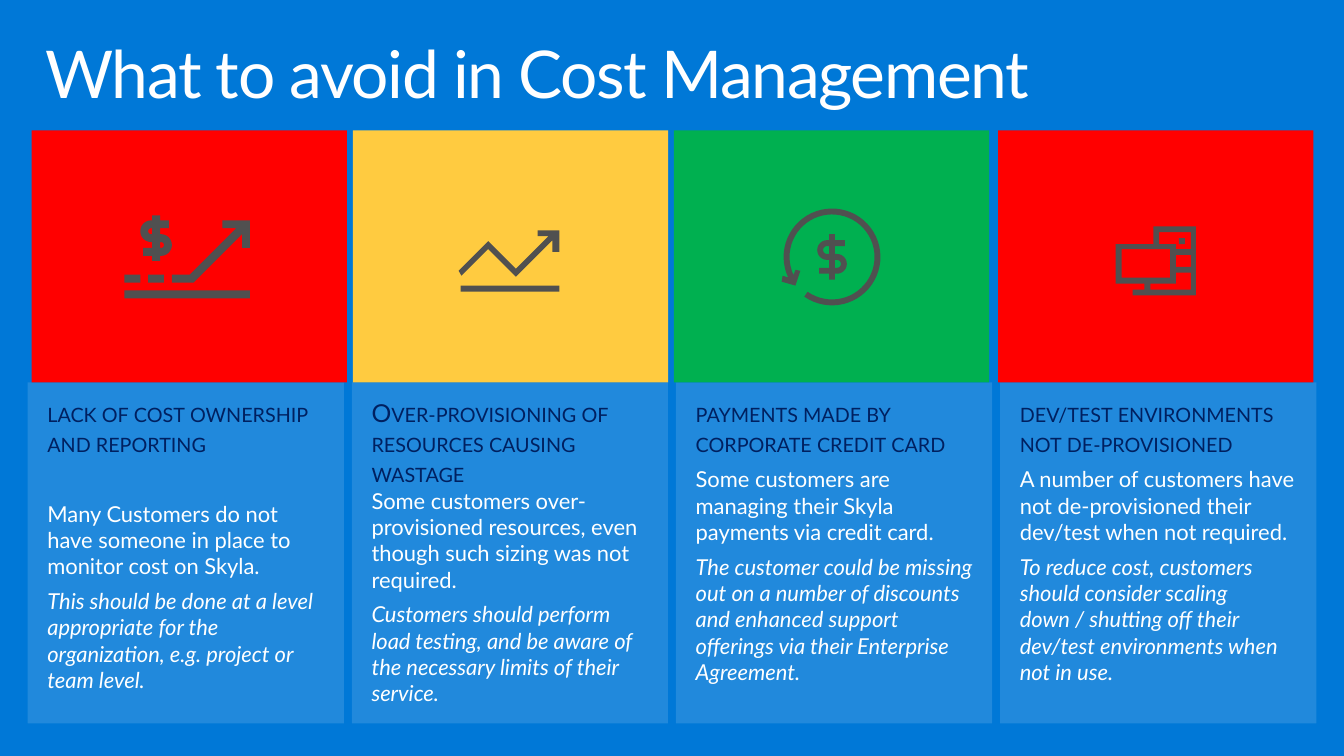
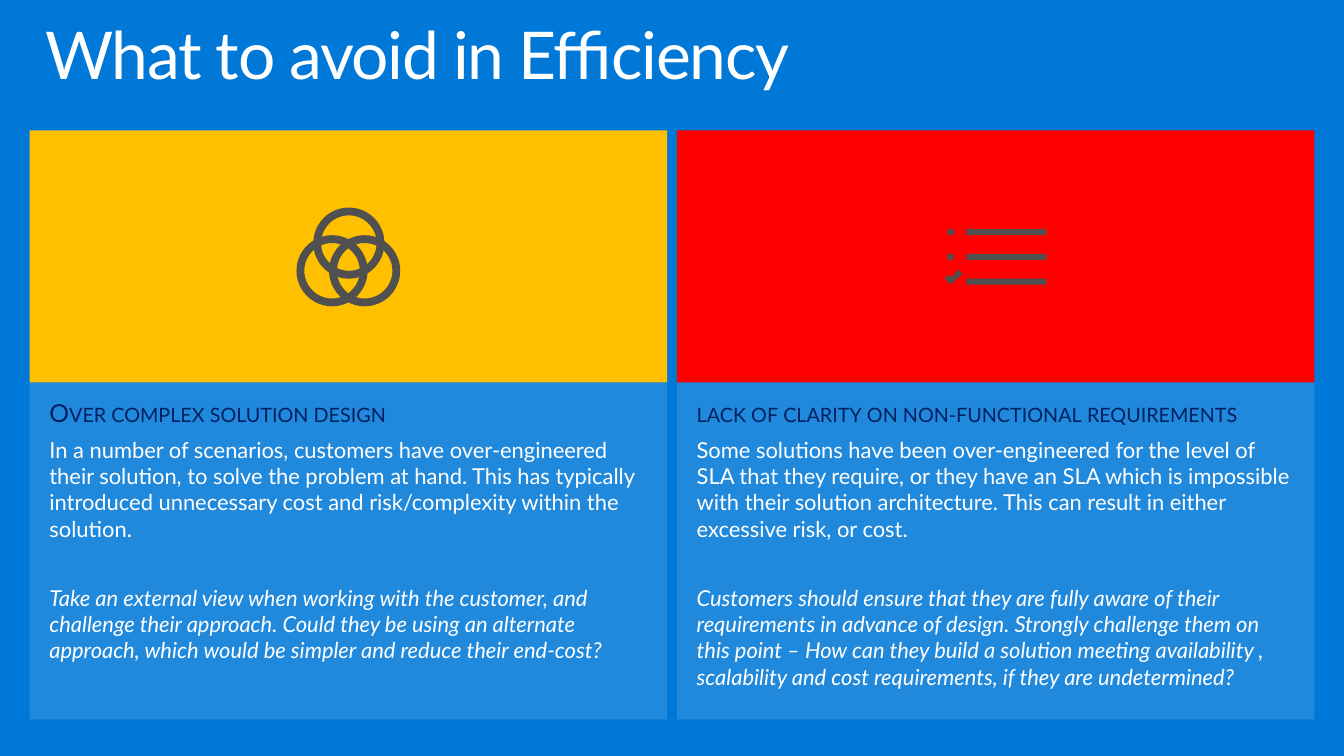
"""Build two slides of cost and efficiency pitfalls as coloured cards with icons."""
from math import cos, radians, sin

from lxml.etree import SubElement
from pptx import Presentation
from pptx.dml.color import RGBColor
from pptx.enum.shapes import MSO_SHAPE as Shape
from pptx.enum.text import MSO_ANCHOR as Anchor, PP_ALIGN as Align
from pptx.oxml.ns import qn
from pptx.util import Inches, Pt

BLUE, WHITE, NAVY, GREY = "0078D7", "FFFFFF", "002060", "505050"
RED, GREEN, YELLOW, AMBER = "FF0000", "00B050", "FFCB40", "FFC000"
FONT = "Lato"
GAP, WIDE_GAP = 6, 31


def paint(shape, color, opacity=None):
    shape.shadow.inherit = False
    shape.line.fill.background()
    shape.fill.solid()
    shape.fill.fore_color.rgb = RGBColor.from_string(color)
    if opacity is not None:
        tint = shape.fill._xPr.find(".//" + qn("a:srgbClr"))
        SubElement(tint, qn("a:alpha")).set("val", str(opacity * 1000))


def write(para, text, size=16, color=WHITE, before=0, italic=False,
          small_caps=False, spacing=0, line=1.0):
    para.alignment = Align.LEFT
    para.space_before = Pt(before)
    para.line_spacing = line
    span = para.add_run()
    span.text = text
    span.font.name = FONT
    span.font.size = Pt(size)
    span.font.italic = italic
    span.font.color.rgb = RGBColor.from_string(color)
    if small_caps:
        span.font._element.set("cap", "small")
    if spacing:
        span.font._element.set("spc", str(spacing * 100))


dollars = []
for center_x, center_y, stem, outer in [(1.58, 2.41, 0.04, 0.11), (8.42, 2.6, 0.03, 0.1)]:
    inner = 0.14 - outer
    bowl, hole = [
        [(-0.05 + r * cos(radians(a)), -0.07 + r * sin(radians(a))) for a in range(90, 271, 15)]
        for r in (outer, inner)
    ]
    top = -0.07 - outer
    half = bowl + [(-stem, top), (-stem, -0.23), (stem, -0.23), (stem, top), (0.13, top),
                   (0.13, -0.07 - inner), (stem, -0.07 - inner), (stem, -0.07 + inner)]
    hole += [(-stem, -0.07 - inner), (-stem, -0.07 + inner)]
    outlines = [half + [(-x, -y) for x, y in half], hole, [(-x, -y) for x, y in hole]]
    dollars.append([[(center_x + x, center_y + y) for x, y in outline] for outline in outlines])

outer_arc, inner_arc = [
    [(8.42 + r * cos(radians(a)), 2.6 + r * sin(radians(a))) for a in range(155, 486, 6)]
    for r in (0.49, 0.43)
]
return_arrow = outer_arc + inner_arc[::-1] + [
    (8.05, 2.73), (8.1, 2.74), (8.05, 2.89), (7.91, 2.85), (7.92, 2.79)]

bars = {
    name: [[(x, y), (x + w, y), (x + w, y + h), (x, y + h)] for x, y, w, h in boxes]
    for name, boxes in {
        "rising cost": [(1.26, 2.94, 1.27, 0.08), (1.26, 2.78, 0.16, 0.08),
                        (1.5, 2.78, 0.16, 0.08)],
        "trend": [(4.66, 2.89, 1, 0.06)],
        "devices": [(11.93, 2.41, 0.06, 0.06), (11.9, 2.58, 0.15, 0.12),
                    (11.35, 2.52, 0.49, 0.29)],
        "checklist": [(9.78, y, 0.81, 0.06) for y in (2.32, 2.57, 2.82)]
                     + [(9.59, y, 0.06, 0.06) for y in (2.32, 2.57)],
    }.items()
}
rising_arrow = [(2.53, 2.51), (2.53, 2.23), (2.25, 2.23), (2.25, 2.31), (2.39, 2.31),
                (1.92, 2.78), (1.74, 2.78), (1.74, 2.86), (1.96, 2.86), (2.45, 2.37),
                (2.45, 2.51)]
trend_arrow = [(5.44, 2.33), (5.66, 2.33), (5.66, 2.55), (5.59, 2.55), (5.59, 2.43),
               (5.22, 2.8), (4.94, 2.52), (4.67, 2.79), (4.64, 2.74), (4.94, 2.44),
               (5.22, 2.72), (5.55, 2.39), (5.44, 2.39)]
device_outline = [(11.58, 2.87), (11.29, 2.87), (11.29, 2.47), (11.67, 2.47), (11.67, 2.29),
                  (12.1, 2.29), (12.1, 2.99), (11.46, 2.99), (11.46, 2.93), (11.58, 2.93)]
server_base = [(12.05, 2.76), (11.9, 2.76), (11.9, 2.87), (11.64, 2.87), (11.64, 2.93),
               (12.05, 2.93)]
server_top = [(11.73, 2.47), (11.9, 2.47), (11.9, 2.52), (12.05, 2.52), (12.05, 2.35),
              (11.73, 2.35)]
check = [(9.74, 2.77), (9.7, 2.73), (9.62, 2.81), (9.59, 2.78), (9.56, 2.82), (9.62, 2.88)]

slides = [
    dict(
        title="What to avoid in Cost Management", title_top=0.32,
        left=0.28, pitch=3.28, width=3.2, height=3.45, tile_width=3.19,
        cards=[
            (0.32, RED, "lack of cost ownership and reporting",
             "Many Customers do not have someone in place to monitor cost on Skyla.", WIDE_GAP,
             "This should be done at a level appropriate for the organization, e.g. project or "
             "team level.", GAP),
            (3.57, YELLOW, "Over-provisioning of resources causing wastage",
             "Some customers over-provisioned resources, even though such sizing was not "
             "required.", 0,
             "Customers should perform load testing, and be aware of the necessary limits of "
             "their service.", GAP),
            (6.82, GREEN, "payments made by corporate credit card",
             "Some customers are managing their Skyla payments via credit card.", GAP,
             "The customer could be missing out on a number of discounts and enhanced support "
             "offerings via their Enterprise Agreement.", GAP),
            (10.1, RED, "dev/test environments not de-provisioned",
             "A number of customers have not de-provisioned their dev/test when not required.",
             GAP,
             "To reduce cost, customers should consider scaling down / shutting off their "
             "dev/test environments when not in use.", GAP),
        ],
        icons=[
            bars["rising cost"] + [rising_arrow] + dollars[0],
            bars["trend"] + [trend_arrow],
            [return_arrow] + dollars[1],
            [device_outline, server_base, server_top] + bars["devices"],
        ],
        rings=[],
    ),
    dict(
        title="What to avoid in Efficiency", title_top=0.13,
        left=0.3, pitch=6.55, width=6.45, height=3.41, tile_width=6.45,
        cards=[
            (0.3, AMBER, "Over complex solution design",
             "In a number of scenarios, customers have over-engineered their solution, to solve "
             "the problem at hand. This has typically introduced unnecessary cost and "
             "risk/complexity within the solution.", GAP,
             "Take an external view when working with the customer, and challenge their "
             "approach. Could they be using an alternate approach, which would be simpler and "
             "reduce their end-cost?", WIDE_GAP),
            (6.85, RED, "lack of clarity on non-functional requirements",
             "Some solutions have been over-engineered for the level of SLA that they require, "
             "or they have an SLA which is impossible with their solution architecture. This "
             "can result in either excessive risk, or cost.", GAP,
             "Customers should ensure that they are fully aware of their requirements in "
             "advance of design. Strongly challenge them on this point – How can they build a "
             "solution meeting availability , scalability and cost requirements, if they are "
             "undetermined?", WIDE_GAP),
        ],
        icons=[bars["checklist"] + [check]],
        rings=[(3.17, 2.1), (3, 2.38), (3.33, 2.38)],
    ),
]

deck = Presentation()
deck.slide_width, deck.slide_height = Inches(13.6), Inches(7.65)

for content in slides:
    page = deck.slides.add_slide(deck.slide_layouts[6])
    page.background.fill.solid()
    page.background.fill.fore_color.rgb = RGBColor.from_string(BLUE)

    box = page.shapes.add_textbox(Inches(0.3), Inches(content["title_top"]), Inches(13), Inches(1))
    frame = box.text_frame
    frame.word_wrap = True
    frame.margin_left = frame.margin_right = Inches(0.16)
    frame.margin_top = frame.margin_bottom = Inches(0.1)
    write(frame.paragraphs[0], content["title"], size=48, spacing=-1, line=0.9)

    for index, card in enumerate(content["cards"]):
        tile_left, color, heading, body, body_gap, advice, advice_gap = card
        panel = page.shapes.add_shape(
            Shape.RECTANGLE, Inches(content["left"] + index * content["pitch"]), Inches(3.87),
            Inches(content["width"]), Inches(content["height"]))
        paint(panel, WHITE, opacity=13)
        frame = panel.text_frame
        frame.word_wrap = True
        frame.vertical_anchor = Anchor.TOP
        frame.margin_left = frame.margin_right = Inches(0.2)
        frame.margin_top = frame.margin_bottom = Inches(0.16)
        write(frame.paragraphs[0], heading, size=18, color=NAVY, small_caps=True)
        write(frame.add_paragraph(), body, before=body_gap)
        write(frame.add_paragraph(), advice, before=advice_gap, italic=True)

        tile = page.shapes.add_shape(Shape.RECTANGLE, Inches(tile_left), Inches(1.32),
                                     Inches(content["tile_width"]), Inches(2.55))
        paint(tile, color)

    for outlines in content["icons"]:
        points = [[(Inches(x), Inches(y)) for x, y in outline] for outline in outlines]
        builder = page.shapes.build_freeform(*points[0][0])
        for number, outline in enumerate(points):
            if number:
                builder.move_to(*outline[0])
            builder.add_line_segments(outline[1:], close=True)
        paint(builder.convert_to_shape(), GREY)

    for left, top in content["rings"]:
        ring = page.shapes.add_shape(Shape.DONUT, Inches(left), Inches(top),
                                     Inches(0.72), Inches(0.72))
        ring.adjustments[0] = 0.11
        paint(ring, GREY)

deck.save("out.pptx")
